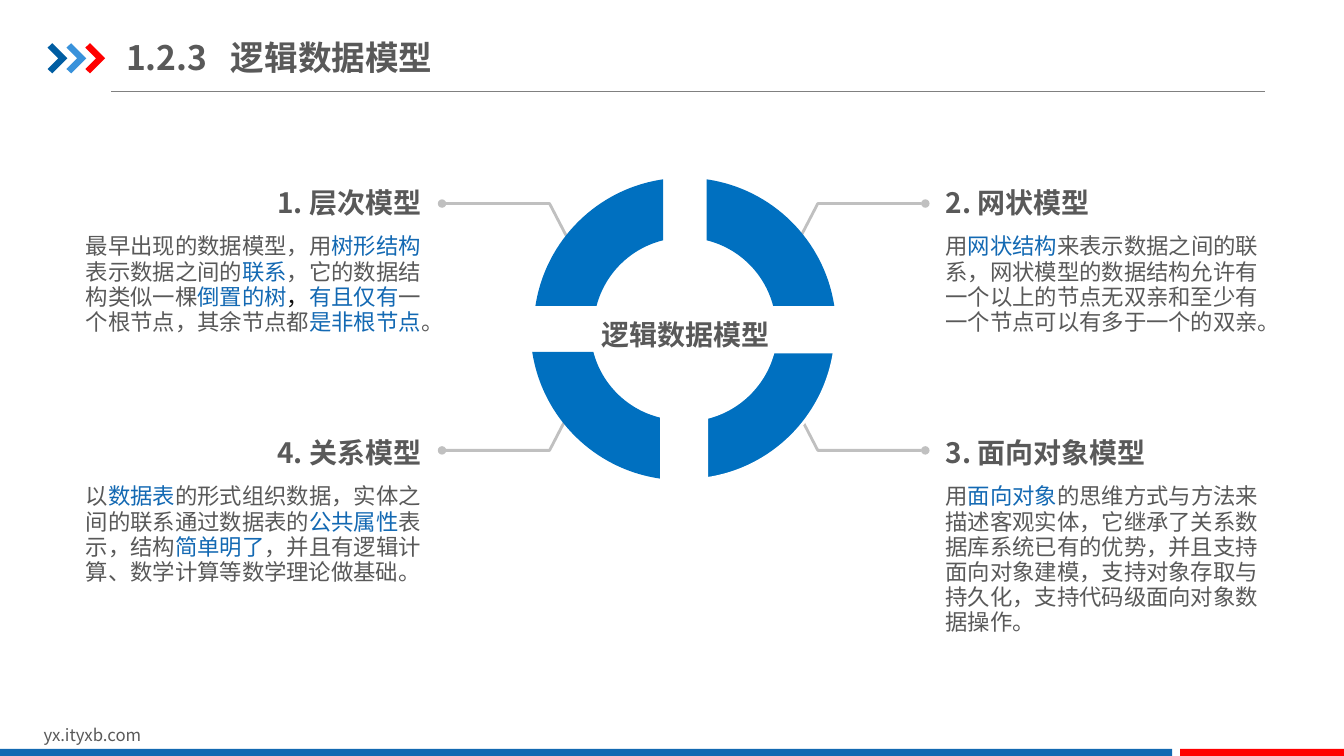
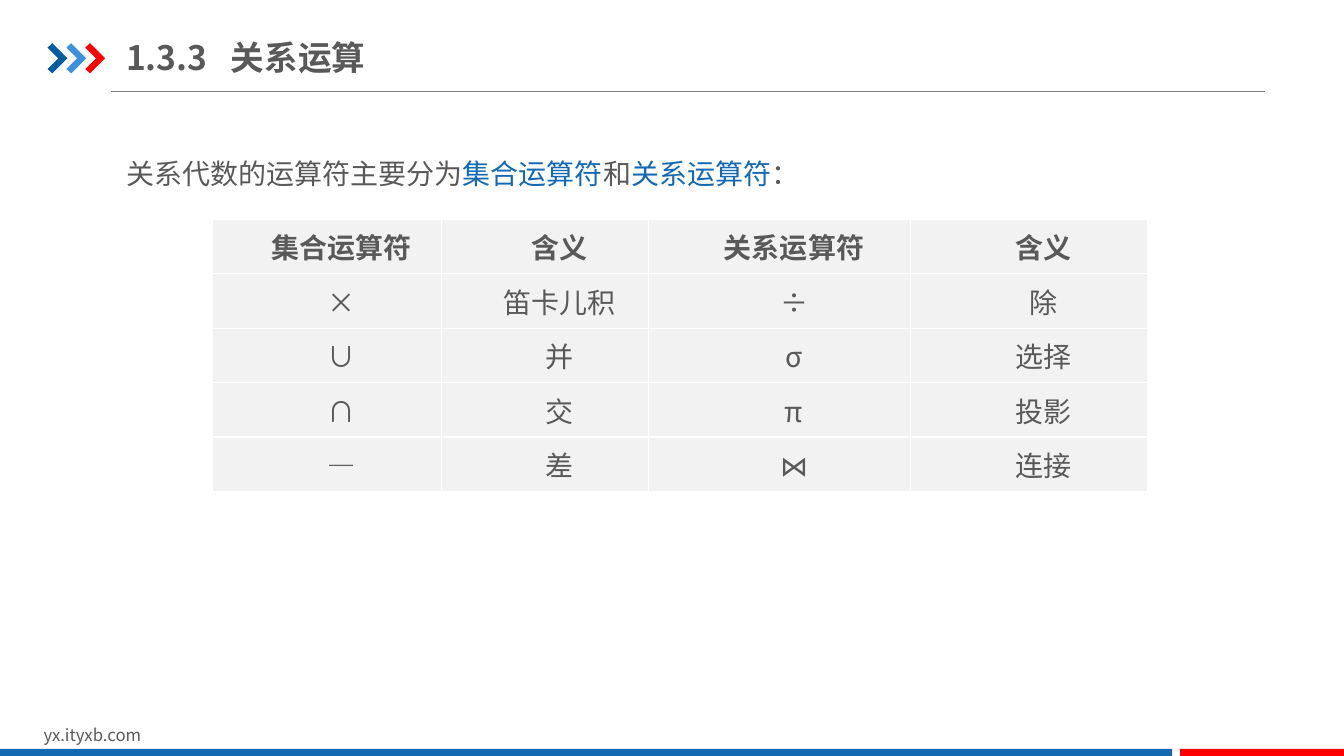
"""Build two slides on logical data models and relational operators."""
from dataclasses import dataclass
from math import acos, asin, cos, sin, tan
from typing import NamedTuple

from lxml.etree import SubElement
from pptx import Presentation
from pptx.dml.color import RGBColor
from pptx.enum.shapes import MSO_CONNECTOR, MSO_SHAPE
from pptx.enum.text import MSO_ANCHOR, PP_ALIGN
from pptx.oxml.ns import qn
from pptx.util import Cm, Pt

FONT = "Noto Sans CJK SC"
GREY, BLUE, BLACK, WHITE = "595959", "1369B3", "0D0D0D", "FFFFFF"
RING_BLUE, LEADER_GREY, RULE_GREY = "0070C0", "C0C0C0", "808080"
BAND_BLUE, RED, CELL_GREY = "1369B2", "FF0000", "F2F2F2"
CHEVRON_COLORS = ("005DA2", "3992DB", RED)
CHEVRON = ((0, 0.11), (0.12, 0), (0.5, 0.38), (0.12, 0.76), (0, 0.65), (0.27, 0.38))
CENTER_X, CENTER_Y = 17.26, 8.29
OUTER_RADIUS, INNER_RADIUS = 3.81, 2.3
HALF_GAP_X, HALF_GAP_Y = 0.55, 0.58
ROW_STEP = 6.3


class Span(NamedTuple):
    text: str
    color: str = GREY


class Area(NamedTuple):
    left: float
    top: float
    width: float
    height: float


@dataclass(frozen=True)
class TextStyle:
    size: float
    bold: bool = False
    align: PP_ALIGN = PP_ALIGN.LEFT
    anchor: MSO_ANCHOR = MSO_ANCHOR.TOP
    spacing: float | Pt | None = None
    inset_x: float = 0
    inset_y: float = 0
    tab: float = 0
    indent: float = 0


@dataclass(frozen=True)
class Model:
    heading: str
    spans: tuple[Span, ...]
    side_x: int
    side_y: int
    shift: float = 0
    outlined: bool = False


TITLE = TextStyle(24, True, anchor=MSO_ANCHOR.MIDDLE, inset_y=0.18, tab=2.64)
FOOTER = TextStyle(12, inset_x=0.25, inset_y=0.13)
INTRO = TextStyle(20, spacing=1.5, inset_x=0.25, inset_y=0.13)

MODELS = (
    Model("1. 层次模型", (
        Span("最早出现的数据模型，用"), Span("树形结构", BLUE), Span("表示数据之间的"),
        Span("联系", BLUE), Span("，它的数据结构类似一棵"), Span("倒置的树", BLUE),
        Span("，", BLACK), Span("有且仅有", BLUE), Span("一个根节点，其余节点都"),
        Span("是非根节点", BLUE), Span("。")), -1, -1),
    Model("2. 网状模型", (
        Span("用"), Span("网状结构", BLUE),
        Span("来表示数据之间的联系，网状模型的数据结构允许有一个以上的节点无双亲"
             "和至少有一个节点可以有多于一个的双亲。")), 1, -1),
    Model("3. 面向对象模型", (
        Span("用"), Span("面向对象", BLUE),
        Span("的思维方式与方法来描述客观实体，它继承了关系数据库系统已有的优势，"
             "并且支持面向对象建模，支持对象存取与持久化，支持代码级面向对象数据操作。")),
        1, 1, outlined=True),
    Model("4. 关系模型", (
        Span("以"), Span("数据表", BLUE), Span("的形式组织数据，实体之间的联系通过数据表的"),
        Span("公共属性", BLUE), Span("表示，结构"), Span("简单明了", BLUE),
        Span("，并且有逻辑计算、数学计算等数学理论做基础。")), -1, 1, shift=-0.08),
)

OPERATORS = (
    ("集合运算符", "含义", "关系运算符", "含义"),
    ("×", "笛卡儿积", "÷", "除"),
    ("∪", "并", "σ", "选择"),
    ("∩", "交", "π", "投影"),
    ("―", "差", "⋈", "连接"),
)
COLUMN_WIDTHS = (5.78, 5.21, 6.6, 5.99)
ROW_HEIGHT = 1.37


def rgb(color: str) -> RGBColor:
    """Turn a hex string into a colour."""
    return RGBColor.from_string(color)


def paint(shape, color: str) -> None:
    """Give a shape a flat fill without line or shadow."""
    shape.shadow.inherit = False
    shape.fill.solid()
    shape.fill.fore_color.rgb = rgb(color)
    shape.line.fill.background()


def write(frame, spans: tuple[Span, ...], style: TextStyle) -> None:
    """Fill a text frame with one styled paragraph."""
    paragraph = frame.paragraphs[0]
    paragraph.alignment = style.align
    if style.spacing:
        paragraph.line_spacing = style.spacing
    properties = paragraph._p.get_or_add_pPr()
    if style.indent:
        properties.set("marL", "0")
        properties.set("indent", str(Cm(style.indent)))
    if style.tab:
        tabs = SubElement(properties, qn("a:tabLst"))
        SubElement(tabs, qn("a:tab"), pos=str(Cm(style.tab)), algn="l")
    font = paragraph.font
    font.size, font.bold, font.name = Pt(style.size), style.bold, FONT
    font.color.rgb = rgb(GREY)
    SubElement(properties.find(qn("a:defRPr")), qn("a:ea"), typeface=FONT)
    for span in spans:
        run = paragraph.add_run()
        run.text = span.text
        if span.color != GREY:
            run.font.color.rgb = rgb(span.color)


def add_text(page, area: Area, spans: tuple[Span, ...], style: TextStyle) -> None:
    """Place a wrapping text box."""
    frame = page.shapes.add_textbox(*map(Cm, area)).text_frame
    frame.word_wrap = True
    frame.vertical_anchor = style.anchor
    frame.margin_left = frame.margin_right = Cm(style.inset_x)
    frame.margin_top = frame.margin_bottom = Cm(style.inset_y)
    write(frame, spans, style)


def add_outline(page, points: list[tuple[float, float]], closed: bool = True):
    """Build a freeform through points given in centimetres."""
    first, *rest = [(Cm(x), Cm(y)) for x, y in points]
    builder = page.shapes.build_freeform(*first)
    builder.add_line_segments(rest, close=closed)
    return builder.convert_to_shape()


def add_page(deck, number: str, title: str):
    """Add a page with rule, chevrons, footer, bands and title."""
    page = deck.slides.add_slide(deck.slide_layouts[6])
    rule = page.shapes.add_connector(
        MSO_CONNECTOR.STRAIGHT, Cm(2.8), Cm(2.31), Cm(31.87), Cm(2.31))
    rule.line.color.rgb = rgb(RULE_GREY)
    rule.line.width = Pt(0.75)
    SubElement(rule._element.spPr, qn("a:effectLst"))
    for index, color in enumerate(CHEVRON_COLORS):
        left = 1.2 + 0.475 * index
        paint(add_outline(page, [(left + x, 1.09 + y) for x, y in CHEVRON]), color)
    add_text(page, Area(0.85, 18.13, 8.08, 0.76), (Span("yx.ityxb.com"),), FOOTER)
    for left, width, color in ((0, 29.54, BAND_BLUE), (29.74, 4.13, RED)):
        area = Area(left, 18.87, width, 0.22)
        paint(page.shapes.add_shape(MSO_SHAPE.RECTANGLE, *map(Cm, area)), color)
    add_text(page, Area(3.18, 0.74, 14.55, 1.4), (Span(f"{number}\t{title}"),), TITLE)
    return page


def arc(radius: float) -> list[tuple[float, float]]:
    """Return the Bézier points of a quarter arc between two gaps."""
    start, end = asin(HALF_GAP_Y / radius), acos(HALF_GAP_X / radius)
    reach = 4 / 3 * tan((end - start) / 4)
    return [(radius * (cos(angle) - pull * sin(angle)),
             radius * (sin(angle) + pull * cos(angle)))
            for angle, pull in ((start, 0), (start, reach), (end, -reach), (end, 0))]


def add_ring_piece(page, model: Model) -> None:
    """Draw the quarter of the ring that belongs to a model."""
    points = arc(OUTER_RADIUS) + arc(INNER_RADIUS)[::-1]
    piece = add_outline(page, [
        (CENTER_X + model.shift + model.side_x * x, CENTER_Y + model.side_y * y)
        for x, y in points])
    segments = list(piece._element.iter(qn("a:lnTo")))
    for triple in (segments[:3], segments[4:]):
        curve = SubElement(triple[0].getparent(), qn("a:cubicBezTo"))
        triple[0].addprevious(curve)
        for segment in triple:
            curve.append(segment[0])
            segment.getparent().remove(segment)
    paint(piece, RING_BLUE)
    if model.outlined:
        piece.line.color.rgb = rgb(WHITE)
        piece.line.width = Pt(2)


def add_leader(page, model: Model) -> None:
    """Draw the bent line from the ring to a heading."""
    offsets = ((2.96, 2.3), (3.38, 3.11), (6.09, 3.11))
    leader = add_outline(page, [
        (17.23 + model.side_x * x, 8.24 + model.side_y * y) for x, y in offsets], False)
    leader.shadow.inherit = False
    leader.fill.background()
    leader.line.color.rgb = rgb(LEADER_GREY)
    leader.line.width = Pt(2)
    SubElement(leader.line._get_or_add_ln(), qn("a:tailEnd"), type="oval")


def add_model(page, model: Model) -> None:
    """Draw a model's leader, ring piece, heading and description."""
    add_leader(page, model)
    add_ring_piece(page, model)
    on_left = model.side_x < 0
    align = PP_ALIGN.RIGHT if on_left else PP_ALIGN.LEFT
    drop = ROW_STEP if model.side_y > 0 else 0
    heading_left, body_left, body_width = (
        (3.23, 2.05, 8.56) if on_left else (23.83, 23.83, 7.99))
    add_text(page, Area(heading_left, 3.16 + drop, 7.39, 2.36), (Span(model.heading),),
             TextStyle(20, True, align, MSO_ANCHOR.BOTTOM, 1.2))
    add_text(page, Area(body_left, 5.9 + drop, body_width, 3.68), model.spans,
             TextStyle(16, align=align, spacing=Pt(18)))


def add_operator_table(page) -> None:
    """Add the table of operators and their meanings."""
    area = Area(5.35, 5.53, sum(COLUMN_WIDTHS), ROW_HEIGHT * len(OPERATORS))
    table = page.shapes.add_table(
        len(OPERATORS), len(COLUMN_WIDTHS), *map(Cm, area)).table
    table.first_row = table.horz_banding = False
    for column, width in zip(table.columns, COLUMN_WIDTHS):
        column.width = Cm(width)
    for row_index, texts in enumerate(OPERATORS):
        table.rows[row_index].height = Cm(ROW_HEIGHT)
        style = TextStyle(20, row_index == 0, PP_ALIGN.CENTER, indent=0.74)
        for column_index, text in enumerate(texts):
            cell = table.cell(row_index, column_index)
            cell.margin_left = cell.margin_right = Cm(0.18)
            cell.margin_top = cell.margin_bottom = 0
            cell.vertical_anchor = MSO_ANCHOR.MIDDLE
            write(cell.text_frame, (Span(text),), style)
            properties = cell._tc.get_or_add_tcPr()
            for side in ("lnL", "lnR", "lnT", "lnB"):
                border = SubElement(properties, qn(f"a:{side}"), w=str(Pt(1)))
                SubElement(SubElement(border, qn("a:solidFill")), qn("a:srgbClr"), val=WHITE)
            cell.fill.solid()
            cell.fill.fore_color.rgb = rgb(CELL_GREY)


def main() -> None:
    """Build and save the deck."""
    deck = Presentation()
    deck.slide_width, deck.slide_height = Cm(33.87), Cm(19.05)

    page = add_page(deck, "1.2.3", "逻辑数据模型")
    for model in MODELS:
        add_model(page, model)
    add_text(page, Area(15.11, 7.77, 4.29, 1.07), (Span("逻辑数据模型"),),
             TextStyle(20, True, PP_ALIGN.RIGHT, MSO_ANCHOR.BOTTOM, 1.2))

    page = add_page(deck, "1.3.3", "关系运算")
    add_text(page, Area(2.93, 3.4, 28.6, 1.4), (
        Span("关系代数的运算符主要分为"), Span("集合运算符", BLUE), Span("和"),
        Span("关系运算符", BLUE), Span("：")), INTRO)
    add_operator_table(page)
    deck.save("out.pptx")


if __name__ == "__main__":
    main()
